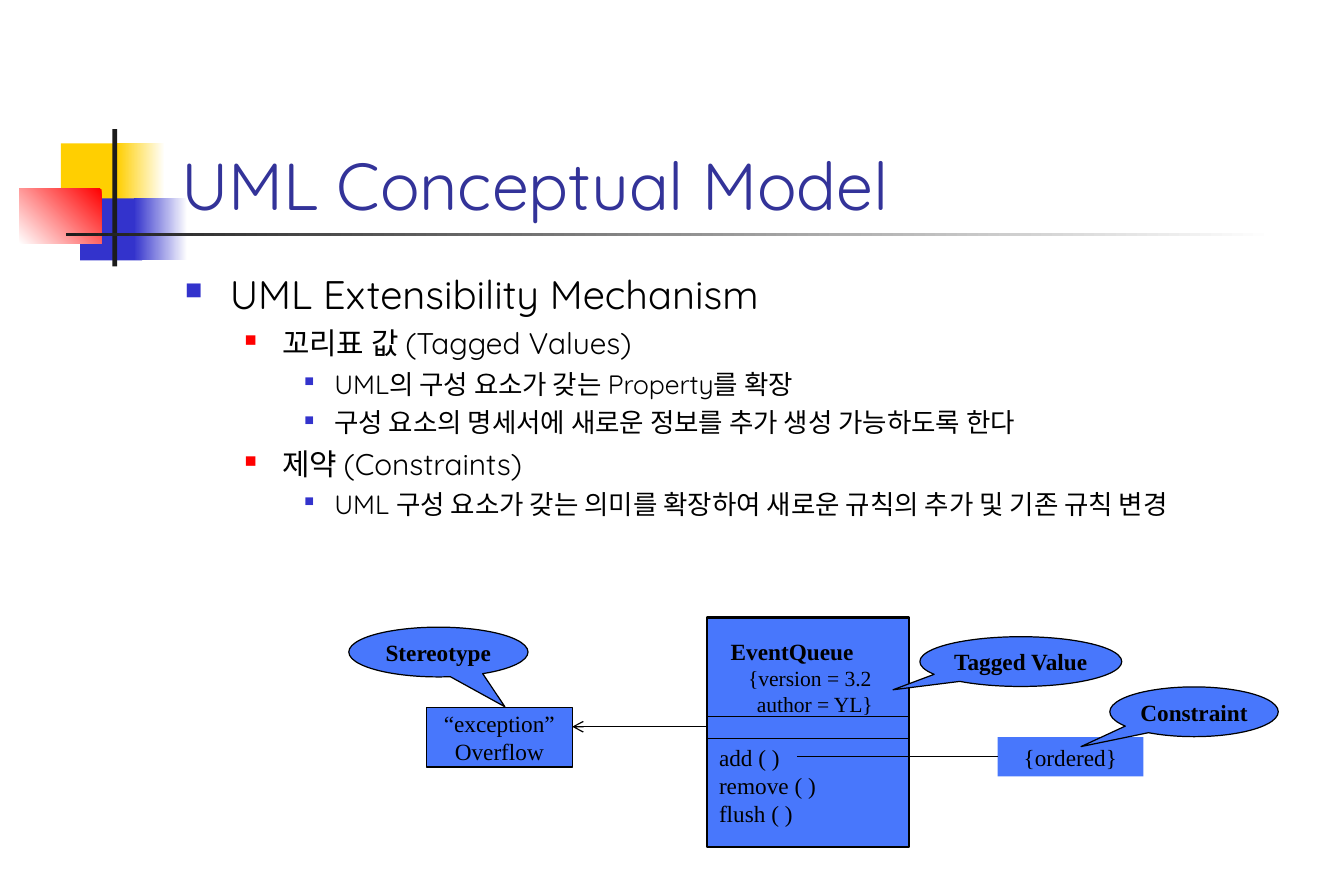
from dataclasses import dataclass
from typing import Optional

from lxml import etree
from pptx import Presentation
from pptx.dml.color import RGBColor
from pptx.enum.shapes import MSO_CONNECTOR, MSO_SHAPE
from pptx.enum.text import MSO_ANCHOR, PP_ALIGN
from pptx.oxml.ns import qn
from pptx.util import Pt

RECTANGLE = MSO_SHAPE.RECTANGLE
CALLOUT = MSO_SHAPE.OVAL_CALLOUT
STRAIGHT = MSO_CONNECTOR.STRAIGHT
TOP, MIDDLE, BOTTOM = MSO_ANCHOR.TOP, MSO_ANCHOR.MIDDLE, MSO_ANCHOR.BOTTOM
LEFT, CENTER = PP_ALIGN.LEFT, PP_ALIGN.CENTER
LEFT_SIDE = 1


@dataclass(frozen=True)
class Theme:
    heading_font: str = "Quicksand"
    diagram_font: str = "Times New Roman"
    title: str = "333399"
    text: str = "000000"
    white: str = "FFFFFF"
    yellow: str = "FFCF01"
    blue: str = "3333CC"
    red: str = "FF0000"
    dark: str = "1C1C1C"
    uml_fill: str = "4877FC"
    title_size: float = 40
    uml_size: float = 14
    tag_size: float = 13
    thin: float = 0.75
    thick: float = 1.5


@dataclass(frozen=True)
class Box:
    left: float
    top: float
    width: float
    height: float


@dataclass(frozen=True)
class Ornament:
    box: Box
    color: str
    end_color: Optional[str] = None
    angle: float = 180


@dataclass(frozen=True)
class Level:
    size: float
    margin: float
    hanging: float
    space_before: float
    bullet_color: str
    bullet_percent: int


@dataclass(frozen=True)
class Line:
    text: str
    size: float
    bold: bool = False
    indent: float = 0
    space_before: float = 0


@dataclass(frozen=True)
class Node:
    box: Box
    lines: tuple
    outline: float = 0
    align: PP_ALIGN = CENTER
    wrap: bool = False
    pointer: Optional[tuple] = None


THEME = Theme()

ORNAMENTS = (
    Ornament(Box(36.72, 86.4, 38.88, 37.44), THEME.yellow),
    Ornament(Box(70.56, 86.4, 28.8, 37.44), THEME.white, THEME.yellow),
    Ornament(Box(48.24, 119.52, 37.44, 37.44), THEME.blue),
    Ornament(Box(80.64, 119.52, 32.4, 37.44), THEME.white, THEME.blue),
    Ornament(Box(11.52, 113.76, 49.68, 33.12), THEME.red, THEME.white, 225),
    Ornament(Box(67.68, 77.76, 2.88, 82.8), THEME.dark),
    Ornament(Box(39.6, 140.4, 728.64, 2.16), THEME.white, THEME.dark),
)

LEVELS = (
    Level(24, 27, 27, 6, THEME.blue, 60),
    Level(18, 58.5, 22.5, 4.5, THEME.red, 55),
    Level(16, 90, 18, 4, THEME.blue, 50),
)

OUTLINE = (
    (0, "UML Extensibility Mechanism"),
    (1, "꼬리표 값 (Tagged Values)"),
    (2, "UML의 구성 요소가 갖는 Property를 확장"),
    (2, "구성 요소의 명세서에 새로운 정보를 추가 생성 가능하도록 한다"),
    (1, "제약 (Constraints)"),
    (2, "UML 구성 요소가 갖는 의미를 확장하여 새로운 규칙의 추가 및 기존 규칙 변경"),
)

EVENT_QUEUE = Node(Box(426.24, 372.24, 121.68, 138.24), (
    Line("EventQueue", THEME.uml_size, bold=True, indent=7),
    Line("{version = 3.2", THEME.tag_size, indent=17.5),
    Line("author = YL}", THEME.tag_size, indent=22.75),
    Line("add ( )", THEME.uml_size, space_before=16),
    Line("remove ( )", THEME.uml_size),
    Line("flush ( )", THEME.uml_size),
), THEME.thick, LEFT, True)
EXCEPTION = Node(Box(257.04, 426.24, 87.84, 36), (
    Line("“exception”", THEME.uml_size),
    Line("Overflow", THEME.uml_size),
), THEME.thin)
ORDERED = Node(Box(601.2, 444.24, 87.84, 23.76), (Line("{ordered}", THEME.uml_size),))
CALLOUTS = (
    ("Tagged Value", Box(554.4, 383.76, 121.68, 30), (-0.633, 0.567)),
    ("Constraint", Box(668.88, 414, 101.52, 30), (-0.671, 0.7)),
    ("Stereotype", Box(210.24, 378, 108, 30), (0.371, 1.1)),
)


def rgb(color: str) -> RGBColor:
    return RGBColor.from_string(color)


def add_box(slide, box: Box, preset=RECTANGLE):
    shape = slide.shapes.add_shape(
        preset, Pt(box.left), Pt(box.top), Pt(box.width), Pt(box.height))
    shape.shadow.inherit = False
    shape.line.fill.background()
    return shape


def set_font(paragraph, name: str, size: float, color: str, bold: bool = False) -> None:
    font = paragraph.font
    font.name, font.size, font.bold = name, Pt(size), bold
    font.color.rgb = rgb(color)


def add_ornament(slide, ornament: Ornament) -> None:
    fill = add_box(slide, ornament.box).fill
    if ornament.end_color is None:
        fill.solid()
        fill.fore_color.rgb = rgb(ornament.color)
        return
    fill.gradient()
    fill.gradient_angle = ornament.angle
    for stop, color in zip(fill.gradient_stops, (ornament.color, ornament.end_color)):
        stop.color.rgb = rgb(color)


def add_text_frame(slide, box: Box, anchor: MSO_ANCHOR):
    text_box = slide.shapes.add_textbox(
        Pt(box.left), Pt(box.top), Pt(box.width), Pt(box.height))
    frame = text_box.text_frame
    frame.word_wrap, frame.vertical_anchor = True, anchor
    return frame


def next_paragraph(frame, index: int):
    return frame.add_paragraph() if index else frame.paragraphs[0]


def add_bullet(paragraph, level: Level) -> None:
    properties = paragraph._p.get_or_add_pPr()
    properties.set("marL", str(Pt(level.margin)))
    properties.set("indent", str(-Pt(level.hanging)))
    bullet_color = etree.SubElement(properties, qn("a:buClr"))
    etree.SubElement(bullet_color, qn("a:srgbClr"), val=level.bullet_color)
    etree.SubElement(properties, qn("a:buSzPct"), val=str(level.bullet_percent * 1000))
    etree.SubElement(properties, qn("a:buChar"), char="■")


def add_node(slide, node: Node):
    shape = add_box(slide, node.box, CALLOUT if node.pointer else RECTANGLE)
    for index, offset in enumerate(node.pointer or ()):
        shape.adjustments[index] = offset
    shape.fill.solid()
    shape.fill.fore_color.rgb = rgb(THEME.uml_fill)
    if node.outline:
        shape.line.color.rgb = rgb(THEME.text)
        shape.line.width = Pt(node.outline)
    frame = shape.text_frame
    frame.word_wrap, frame.vertical_anchor = node.wrap, MIDDLE
    for index, line in enumerate(node.lines):
        paragraph = next_paragraph(frame, index)
        paragraph.text, paragraph.alignment = line.text, node.align
        if line.indent:
            paragraph._p.get_or_add_pPr().set("marL", str(Pt(line.indent)))
        if line.space_before:
            paragraph.space_before = Pt(line.space_before)
        set_font(paragraph, THEME.diagram_font, line.size, THEME.text, line.bold)
    return shape


def add_line(slide, x1: float, y1: float, x2: float, y2: float, arrow: bool = False):
    line = slide.shapes.add_connector(STRAIGHT, Pt(x1), Pt(y1), Pt(x2), Pt(y2))
    line.line.color.rgb = rgb(THEME.text)
    line.line.width = Pt(THEME.thin)
    if arrow:
        etree.SubElement(line.line._get_or_add_ln(), qn("a:tailEnd"), type="arrow")
    etree.SubElement(line._element.spPr, qn("a:effectLst"))
    return line


def main() -> None:
    deck = Presentation()
    deck.slide_width, deck.slide_height = Pt(810), Pt(540)
    slide = deck.slides.add_slide(deck.slide_layouts[6])

    # Corner ornament and title rule
    for ornament in ORNAMENTS:
        add_ornament(slide, ornament)

    # Title
    title = add_text_frame(slide, Box(102.24, 48.24, 690.48, 90), BOTTOM).paragraphs[0]
    title.text = "UML Conceptual Model"
    set_font(title, THEME.heading_font, THEME.title_size, THEME.title)

    # Bulleted outline
    body = add_text_frame(slide, Box(104.4, 159.12, 688.32, 324), TOP)
    for index, (depth, text) in enumerate(OUTLINE):
        level = LEVELS[depth]
        paragraph = next_paragraph(body, index)
        paragraph.text, paragraph.level = text, depth
        if index:
            paragraph.space_before = Pt(level.space_before)
        add_bullet(paragraph, level)
        set_font(paragraph, THEME.heading_font, level.size, THEME.text)

    # Class with its compartments
    add_node(slide, EVENT_QUEUE)
    queue = EVENT_QUEUE.box
    for divider in (432, 445):
        add_line(slide, queue.left, divider, queue.left + queue.width, divider)

    # Exception and its dependency arrow
    add_node(slide, EXCEPTION)
    exception = EXCEPTION.box
    add_line(slide, queue.left, 438, exception.left + exception.width, 438, arrow=True)

    # Constraint note tied to add ( )
    ordered = add_node(slide, ORDERED)
    note_y = ORDERED.box.top + ORDERED.box.height / 2
    tie = add_line(slide, 480.24, note_y, ORDERED.box.left, note_y)
    tie.end_connect(ordered, LEFT_SIDE)

    # Callouts naming each mechanism
    for label, box, pointer in CALLOUTS:
        caption = (Line(label, THEME.uml_size, bold=True),)
        add_node(slide, Node(box, caption, THEME.thin, pointer=pointer))

    deck.save("out.pptx")


if __name__ == "__main__":
    main()
